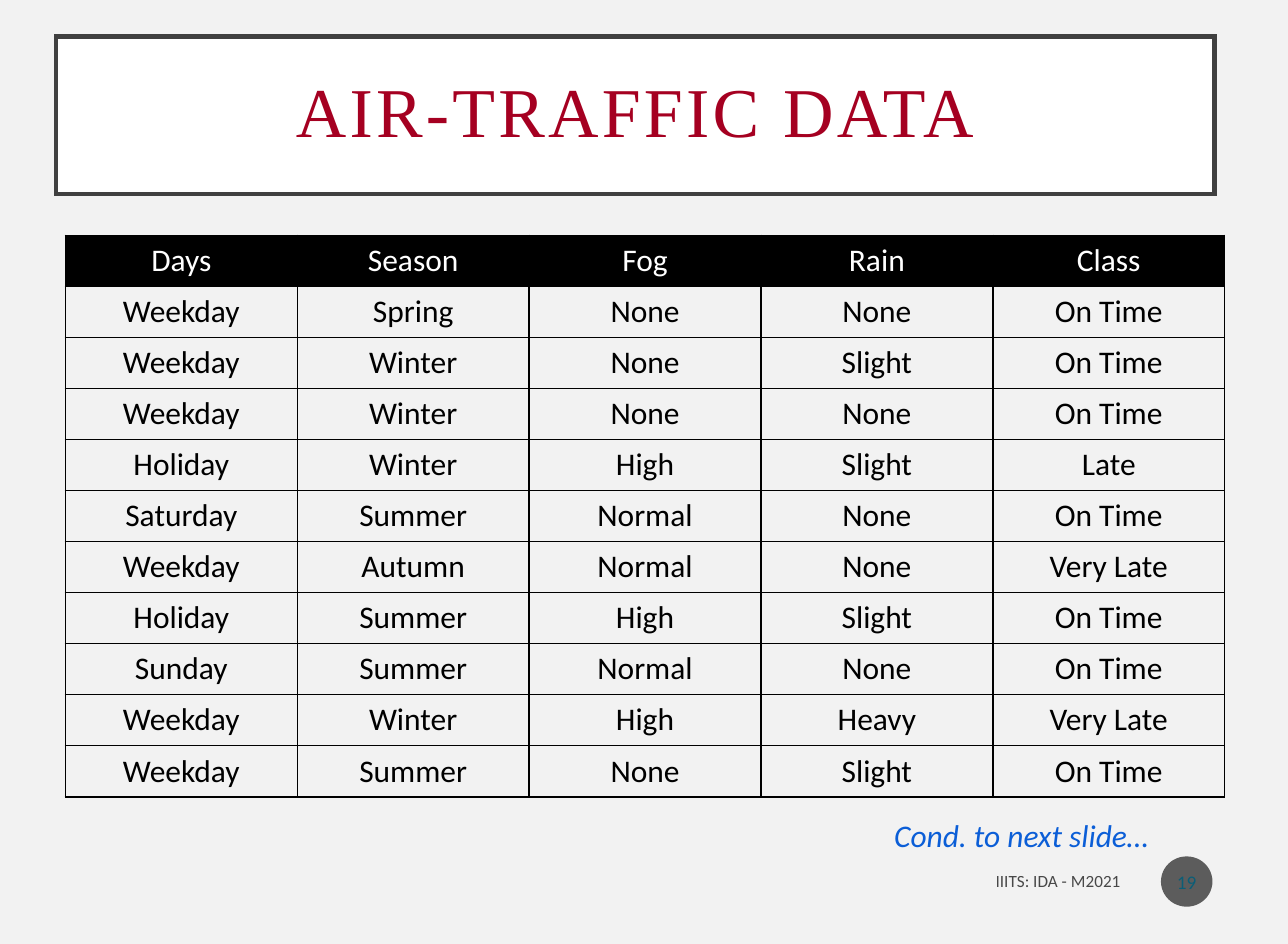
from dataclasses import dataclass

from lxml.etree import SubElement
from pptx import Presentation
from pptx.dml.color import RGBColor
from pptx.enum.shapes import MSO_SHAPE
from pptx.enum.text import MSO_ANCHOR, PP_ALIGN
from pptx.oxml.ns import qn
from pptx.util import Cm, Emu, Inches, Pt

SLIDE_W, SLIDE_H = Cm(26), Cm(19.05)


@dataclass(frozen=True)
class Theme:
    background: str = "F2F2F2"
    panel: str = "FFFFFF"
    panel_line: str = "404040"
    title: str = "A50021"
    ink: str = "000000"
    header_text: str = "FFFFFF"
    note: str = "0B5ED7"
    badge: str = "1D1D1D"
    badge_text: str = "0B5E77"
    title_font: str = "Times New Roman"
    body_font: str = "Calibri"
    title_size: float = 40
    body_size: float = 18
    badge_size: float = 11
    footer_size: float = 9.8


THEME = Theme()

HEADER = ("Days", "Season", "Fog", "Rain", "Class")
FLIGHTS = (
    ("Weekday", "Spring", "None", "None", "On Time"),
    ("Weekday", "Winter", "None", "Slight", "On Time"),
    ("Weekday", "Winter", "None", "None", "On Time"),
    ("Holiday", "Winter", "High", "Slight", "Late"),
    ("Saturday", "Summer", "Normal", "None", "On Time"),
    ("Weekday", "Autumn", "Normal", "None", "Very Late"),
    ("Holiday", "Summer", "High", "Slight", "On Time"),
    ("Sunday", "Summer", "Normal", "None", "On Time"),
    ("Weekday", "Winter", "High", "Heavy", "Very Late"),
    ("Weekday", "Summer", "None", "Slight", "On Time"),
)


def area(left, top, width, height):
    """Turn percentages of the slide's size into lengths."""
    return (Emu(int(SLIDE_W * left / 100)), Emu(int(SLIDE_H * top / 100)),
            Emu(int(SLIDE_W * width / 100)), Emu(int(SLIDE_H * height / 100)))


def set_opacity(element, percent):
    for color in element.iter(qn("a:srgbClr")):
        SubElement(color, qn("a:alpha"), val=str(percent * 1000))


def write(tf, text, color=THEME.ink, size=THEME.body_size, font=THEME.body_font,
          align=PP_ALIGN.CENTER, italic=None, spacing=None, tracking=None, opacity=None):
    p = tf.paragraphs[0]
    p.alignment = align
    if spacing:
        p.line_spacing = spacing
    r = p.add_run()
    r.text = text
    r.font.name, r.font.size, r.font.italic = font, Pt(size), italic
    r.font.color.rgb = RGBColor.from_string(color)
    if tracking:
        r.font._element.set("spc", str(round(tracking * 100)))
    if opacity:
        set_opacity(r.font._element, opacity)


def add_title(s, text):
    title = s.shapes.title
    title.left, title.top, title.width, title.height = area(4.33, 3.87, 89.97, 16.67)
    title.fill.solid()
    title.fill.fore_color.rgb = RGBColor.from_string(THEME.panel)
    title.line.color.rgb = RGBColor.from_string(THEME.panel_line)
    title.line.width = Pt(2.5)
    SubElement(title._element.spPr.find(qn("a:ln")), qn("a:miter"), lim="800000")
    tf = title.text_frame
    tf.vertical_anchor = MSO_ANCHOR.MIDDLE
    tf.margin_left = tf.margin_right = tf.margin_top = tf.margin_bottom = Inches(0.2)
    write(tf, text, color=THEME.title, size=THEME.title_size,
          font=THEME.title_font, spacing=0.9, tracking=1.9)


def add_borders(cell):
    tc_pr = cell._tc.get_or_add_tcPr()
    for side in ("lnL", "lnR", "lnT", "lnB"):
        ln = SubElement(tc_pr, qn(f"a:{side}"), w=str(Pt(1)))
        fill = SubElement(ln, qn("a:solidFill"))
        SubElement(fill, qn("a:srgbClr"), val=THEME.ink)


def add_data_table(s, header, records):
    rows = (header, *records)
    table = s.shapes.add_table(len(rows), len(header),
                               *area(5.08, 24.93, 90, 59.47)).table
    table.horz_banding = False
    for i, row in enumerate(rows):
        for j, text in enumerate(row):
            cell = table.cell(i, j)
            add_borders(cell)
            if i == 0:
                cell.fill.solid()
                cell.fill.fore_color.rgb = RGBColor.from_string(THEME.ink)
            else:
                cell.fill.background()
            write(cell.text_frame, text, color=THEME.ink if i else THEME.header_text)


def add_badge(s, text):
    badge = s.shapes.add_shape(MSO_SHAPE.OVAL, *area(90.14, 90.72, 4, 5.33))
    badge.shadow.inherit = False
    badge.fill.solid()
    badge.fill.fore_color.rgb = RGBColor.from_string(THEME.badge)
    set_opacity(badge._element.spPr, 70)
    badge.line.fill.background()
    tf = badge.text_frame
    tf.margin_left = tf.margin_right = tf.margin_top = tf.margin_bottom = 0
    tf.vertical_anchor = MSO_ANCHOR.MIDDLE
    write(tf, text, color=THEME.badge_text, size=THEME.badge_size)


def add_label(s, text, place, wrap=True, anchor=MSO_ANCHOR.TOP, **text_format):
    tf = s.shapes.add_textbox(*area(*place)).text_frame
    tf.word_wrap = wrap
    tf.vertical_anchor = anchor
    write(tf, text, **text_format)


def main():
    prs = Presentation()
    prs.slide_width, prs.slide_height = SLIDE_W, SLIDE_H
    s = prs.slides.add_slide(prs.slide_layouts[5])
    s.background.fill.solid()
    s.background.fill.fore_color.rgb = RGBColor.from_string(THEME.background)

    add_title(s, "AIR-TRAFFIC DATA")
    add_data_table(s, HEADER, FLIGHTS)
    add_badge(s, "19")
    add_label(s, "Cond. to next slide…", (68.46, 85.75, 23.63, 5.33), wrap=False,
              color=THEME.note, align=PP_ALIGN.LEFT, italic=True)
    add_label(s, "IIITS: IDA - M2021", (65.39, 91, 22.57, 4.67),
              anchor=MSO_ANCHOR.MIDDLE, size=THEME.footer_size,
              align=PP_ALIGN.RIGHT, opacity=70)
    prs.save("out.pptx")


if __name__ == "__main__":
    main()
